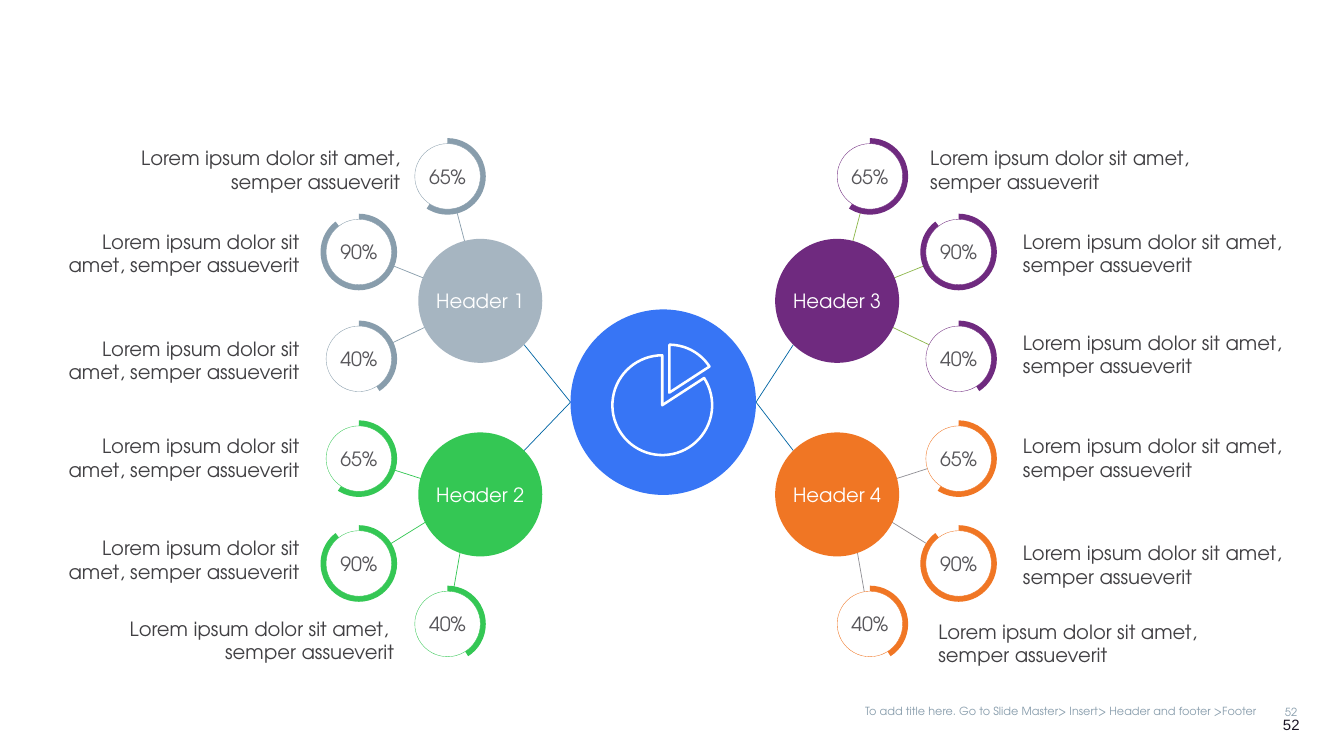
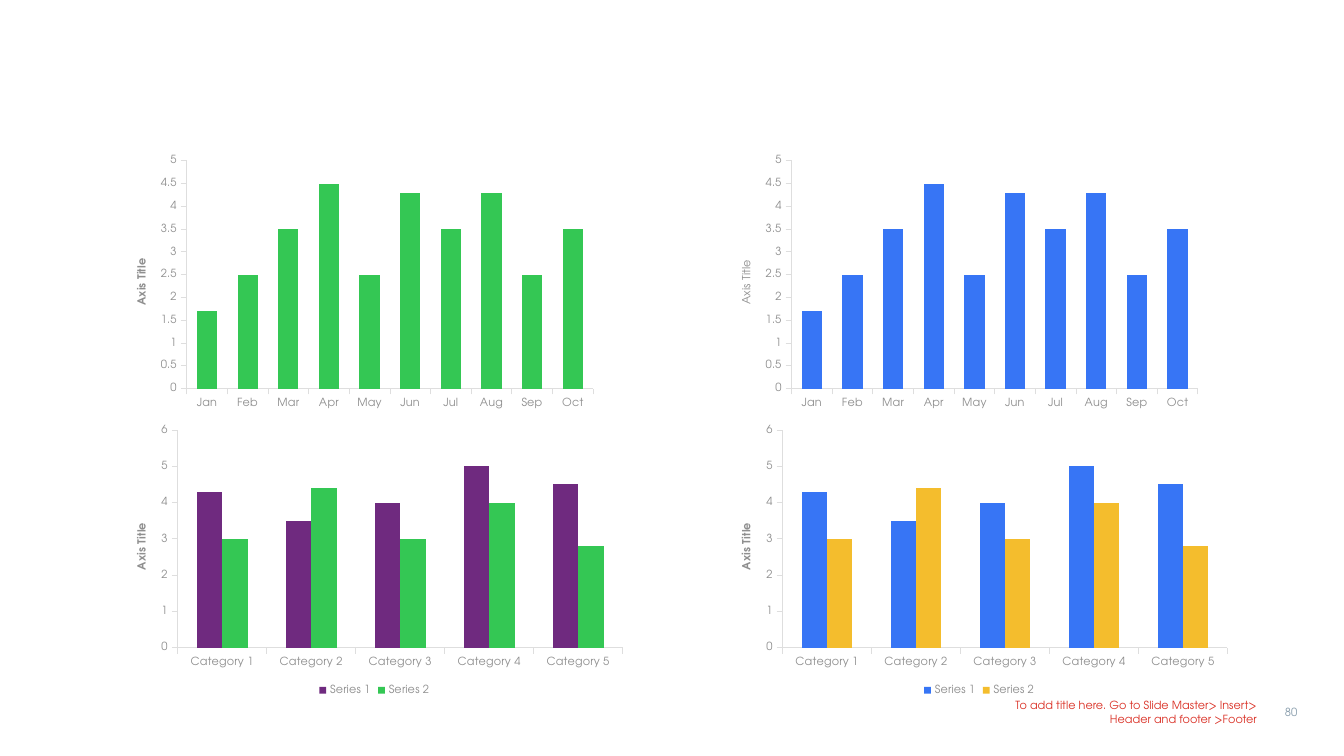
import math

import lxml.etree
import pptx
import pptx.chart.data
import pptx.dml.color
import pptx.enum.chart
import pptx.enum.shapes
import pptx.enum.text
import pptx.oxml.ns
import pptx.util

CELL = pptx.util.Inches(0.1)
COLUMNS, ROWS = 133.33, 75
FONT = "TeX Gyre Adventor"
SLATE, PALE_SLATE, GREEN, PURPLE = "889DAC", "A6B5C1", "34C754", "6F2A7F"
ORANGE, BLUE, YELLOW, RED, WHITE = "F07624", "3775F5", "F4BD2D", "DA3126", "FFFFFF"
BODY_TEXT, RING_TEXT, CHART_TEXT, AXIS_LINE = "414043", "57565A", "8F8F8F", "DEDEDE"
LEFT, CENTER, RIGHT = (pptx.enum.text.PP_ALIGN.LEFT, pptx.enum.text.PP_ALIGN.CENTER,
                       pptx.enum.text.PP_ALIGN.RIGHT)
MIDDLE = pptx.enum.text.MSO_ANCHOR.MIDDLE
SHAPES = pptx.enum.shapes.MSO_SHAPE

FOOTER = "To add title here. Go to Slide Master> Insert> Header and footer >Footer"
AXIS, HEADER_REACH = 65.35, 17.7
HEADER_SIZE, HUB_SIZE, RING_SIZE, DISC_SIZE = 12.3, 18.4, 7.6, 6.5
HUB_X, HUB_Y = 65.8, 39.9
SWEEP = {"65%": 213, "90%": 322.6, "40%": 147.3}
UPPER = [("65%", 20.95, 17.5), ("90%", 29.75, 25), ("40%", 29.75, 35.6)]
LOWER = [("65%", 29.75, 45.5), ("90%", 29.75, 55.9), ("40%", 20.95, 61.9)]
UPPER_Y, LOWER_Y = 29.85, 49.05
CLUSTERS = [
    ("Header 1", -1, UPPER_Y, UPPER, PALE_SLATE, SLATE, SLATE),
    ("Header 2", -1, LOWER_Y, LOWER, GREEN, GREEN, GREEN),
    ("Header 3", 1, UPPER_Y, UPPER, PURPLE, PURPLE, "8DB74A"),
    ("Header 4", 1, LOWER_Y, LOWER, ORANGE, ORANGE, "908F95"),
]
ONE_PARAGRAPH = ["Lorem ipsum dolor sit amet, semper assueverit"]
SPACED_LINES = ["Lorem ipsum dolor sit amet, ", "semper assueverit"]
TWO_LINES = ["Lorem ipsum dolor sit amet,", "semper assueverit"]
MONTHS = ["Jan", "Feb", "Mar", "Apr", "May", "Jun", "Jul", "Aug", "Sep", "Oct"]
MONTHLY = [[1.7, 2.5, 3.5, 4.5, 2.5, 4.3, 3.5, 4.3, 2.5, 3.5]]
CATEGORIES = [f"Category {number}" for number in range(1, 6)]
PAIRED = [[4.3, 3.5, 4, 5, 4.5], [3, 4.4, 3, 4, 2.8]]


def cells(*counts):
    """Turn counts of grid cells into lengths."""
    return [round(count * CELL) for count in counts]


def color(value):
    """Turn a hex string into a colour."""
    return pptx.dml.color.RGBColor.from_string(value)


def style_font(font, size, value, name=FONT):
    """Set size, colour and typeface of a font."""
    font.size = pptx.util.Pt(size)
    font.name = name
    font.color.rgb = color(value)


def write(frame, lines, size, value, alignment, name=FONT):
    """Fill a text frame with one paragraph per line."""
    for index, line in enumerate(lines):
        paragraph = frame.add_paragraph() if index else frame.paragraphs[0]
        paragraph.text = line
        paragraph.alignment = alignment
        style_font(paragraph.font, size, value, name)


def add_text(slide, box, lines, size, value, alignment, name=FONT):
    """Add a wrapping text box and return its frame."""
    frame = slide.shapes.add_textbox(*cells(*box)).text_frame
    frame.word_wrap = True
    write(frame, lines, size, value, alignment, name)
    return frame


def add_round(slide, preset, x, y, size, fill, outline=None):
    """Add a round shape centred on a grid point."""
    box = cells(x - size / 2, y - size / 2, size, size)
    shape = slide.shapes.add_shape(preset, *box)
    shape.shadow.inherit = False
    shape.fill.solid()
    shape.fill.fore_color.rgb = color(fill)
    if outline:
        shape.line.color.rgb = color(outline)
        shape.line.width = pptx.util.Pt(0.25)
    else:
        shape.line.fill.background()
    return shape


def add_label(shape, text, value):
    """Centre a label in a round shape."""
    frame = shape.text_frame
    frame.word_wrap = False
    frame.vertical_anchor = MIDDLE
    write(frame, [text], 14, value, CENTER)


def add_line(slide, start, end, value):
    """Draw a thin straight line between two grid points."""
    connector = slide.shapes.add_connector(
        pptx.enum.shapes.MSO_CONNECTOR.STRAIGHT, *cells(*start, *end))
    connector.line.color.rgb = color(value)
    connector.line.width = pptx.util.Pt(0.5)
    properties = connector.element.find(pptx.oxml.ns.qn("p:spPr"))
    lxml.etree.SubElement(properties, pptx.oxml.ns.qn("a:effectLst"))


def add_ring(slide, x, y, percent, value):
    """Add a progress ring with its percentage."""
    pie = add_round(slide, SHAPES.PIE, x, y, RING_SIZE, value)
    pie.rotation = 270
    pie.adjustments[0] = 0
    pie.adjustments[1] = SWEEP[percent] * 0.6
    disc = add_round(slide, SHAPES.OVAL, x, y, DISC_SIZE, WHITE, value)
    add_label(disc, percent, RING_TEXT)


def add_sector(slide, x, y, radius, first, last):
    """Outline a pie sector between two clockwise angles."""
    steps = 60
    angles = [math.radians(first + (last - first) * step / steps) for step in range(steps + 1)]
    points = [cells(x + radius * math.cos(angle), y + radius * math.sin(angle))
              for angle in angles]
    builder = slide.shapes.build_freeform(*cells(x, y), scale=1)
    builder.add_line_segments(points, close=True)
    sector = builder.convert_to_shape()
    sector.shadow.inherit = False
    sector.fill.background()
    sector.line.color.rgb = color(WHITE)
    sector.line.width = pptx.util.Pt(1.8)


def add_cluster_lines(slide, side, y, satellites, value):
    """Join a header to its rings and to the hub."""
    x = AXIS + side * HEADER_REACH
    upper = y < HUB_Y
    start = x if upper else x + side
    for _, reach, ring_y in satellites:
        add_line(slide, (start, y), (AXIS + side * reach, ring_y), value)
    diagonal = HEADER_SIZE / 2 * math.sqrt(0.5)
    touch = (x - side * diagonal, y + diagonal if upper else y - diagonal)
    add_line(slide, (HUB_X + side * HUB_SIZE / 2, HUB_Y), touch, "0065A4")


def add_cluster(slide, name, side, y, satellites, fill, ring, line):
    """Add a header circle with its lines and rings."""
    add_cluster_lines(slide, side, y, satellites, line)
    for percent, reach, ring_y in satellites:
        add_ring(slide, AXIS + side * reach, ring_y, percent, ring)
    header = add_round(slide, SHAPES.OVAL, AXIS + side * HEADER_REACH, y, HEADER_SIZE, fill)
    add_label(header, name, WHITE)


def add_captions(slide):
    """Add the captions beside the rings."""
    left_side = [(12.9, 14, 27.8, SPACED_LINES)]
    left_side += [(4.4, top, 26.3, ONE_PARAGRAPH) for top in (22.3, 32.9, 42.6, 52.7)]
    left_side += [(11.6, 60.7, 28.5, SPACED_LINES)]
    right_side = [(91.3, 14, 31.2, TWO_LINES)]
    right_side += [(100.5, top, 28.4, TWO_LINES) for top in (22.3, 32.3, 42.6, 53.2)]
    right_side += [(92.1, 61, 28.4, TWO_LINES)]
    for captions, alignment in ((left_side, RIGHT), (right_side, LEFT)):
        for left, top, width, lines in captions:
            frame = add_text(slide, (left, top, width, 5.7), lines, 14, BODY_TEXT, alignment)
            frame.auto_size = pptx.enum.text.MSO_AUTO_SIZE.SHAPE_TO_FIT_TEXT


def add_footer(slide, number, left, value):
    """Add the page number and the footer line."""
    add_text(slide, (124.1, 69.5, 5.6, 2.4), [number], 8, SLATE, RIGHT)
    return add_text(slide, (left, 69.4, 125.7 - left, 2.5), [FOOTER], 8, value, RIGHT)


def style_axis(axis):
    """Give an axis its line, ticks and font."""
    axis.has_major_gridlines = False
    axis.major_tick_mark = pptx.enum.chart.XL_TICK_MARK.OUTSIDE
    axis.minor_tick_mark = pptx.enum.chart.XL_TICK_MARK.NONE
    axis.format.line.color.rgb = color(AXIS_LINE)
    axis.format.line.width = pptx.util.Pt(0.5)
    style_font(axis.tick_labels.font, 8, CHART_TEXT)


def style_value_axis(axis, top, step, bold):
    """Set the scale and the upright title of the value axis."""
    style_axis(axis)
    axis.minimum_scale, axis.maximum_scale, axis.major_unit = 0, top, step
    axis.tick_labels.number_format = "General"
    axis.tick_labels.number_format_is_linked = False
    title = axis.axis_title
    write(title.text_frame, ["Axis Title"], 8, CHART_TEXT, CENTER)
    title.text_frame.paragraphs[0].font.bold = bold
    body = title.element.find(".//" + pptx.oxml.ns.qn("a:bodyPr"))
    body.set("rot", "-5400000")
    body.set("vert", "horz")


def add_columns(slide, box, categories, values, colors, gap, top, step, bold=True):
    """Add a clustered column chart."""
    data = pptx.chart.data.CategoryChartData()
    data.categories = categories
    for number, row in enumerate(values, 1):
        data.add_series(f"Series {number}", row)
    kind = pptx.enum.chart.XL_CHART_TYPE.COLUMN_CLUSTERED
    chart = slide.shapes.add_chart(kind, *cells(*box), data).chart
    style_font(chart.font, 8, CHART_TEXT)
    chart.has_title = False
    chart.has_legend = len(values) > 1
    if chart.has_legend:
        chart.legend.position = pptx.enum.chart.XL_LEGEND_POSITION.BOTTOM
        chart.legend.include_in_layout = False
        style_font(chart.legend.font, 8, CHART_TEXT)
    plot = chart.plots[0]
    plot.gap_width, plot.overlap, plot.vary_by_categories = gap, 0, False
    for series, value in zip(plot.series, colors):
        series.format.fill.solid()
        series.format.fill.fore_color.rgb = color(value)
    style_axis(chart.category_axis)
    style_value_axis(chart.value_axis, top, step, bold)


def build_mind_map(slide):
    """Build the hub with four clusters of rings."""
    for cluster in CLUSTERS:
        add_cluster(slide, *cluster)
    add_round(slide, SHAPES.OVAL, HUB_X, HUB_Y, HUB_SIZE, BLUE)
    add_sector(slide, 65.7, 40.2, 4.95, -33, 270)
    add_sector(slide, 66.4, 38.95, 4.75, -90, -33)
    add_captions(slide)
    add_text(slide, (125.5, 70.5, 5.2, 3.8), ["52"], 10.7, "1B1626", CENTER, "Arial")
    add_footer(slide, "52", 81.5, SLATE)


def build_charts(slide):
    """Build the two rows of column charts."""
    add_footer(slide, "80", 98.3, RED).vertical_anchor = MIDDLE
    columns = [(11.5, GREEN, [PURPLE, GREEN], True), (71.5, BLUE, [BLUE, YELLOW], False)]
    for left, single, pair, bold in columns:
        add_columns(slide, (left, 14.9, 48.3, 26.2), MONTHS, MONTHLY, [single],
                    100, 5, 0.5, bold)
        add_columns(slide, (left, 41.6, 51.3, 27.8), CATEGORIES, PAIRED, pair, 150, 6, 1)


def main():
    """Build and save the presentation."""
    presentation = pptx.Presentation()
    presentation.slide_width, presentation.slide_height = cells(COLUMNS, ROWS)
    for build in (build_mind_map, build_charts):
        build(presentation.slides.add_slide(presentation.slide_layouts[6]))
    presentation.save("out.pptx")


if __name__ == "__main__":
    main()
